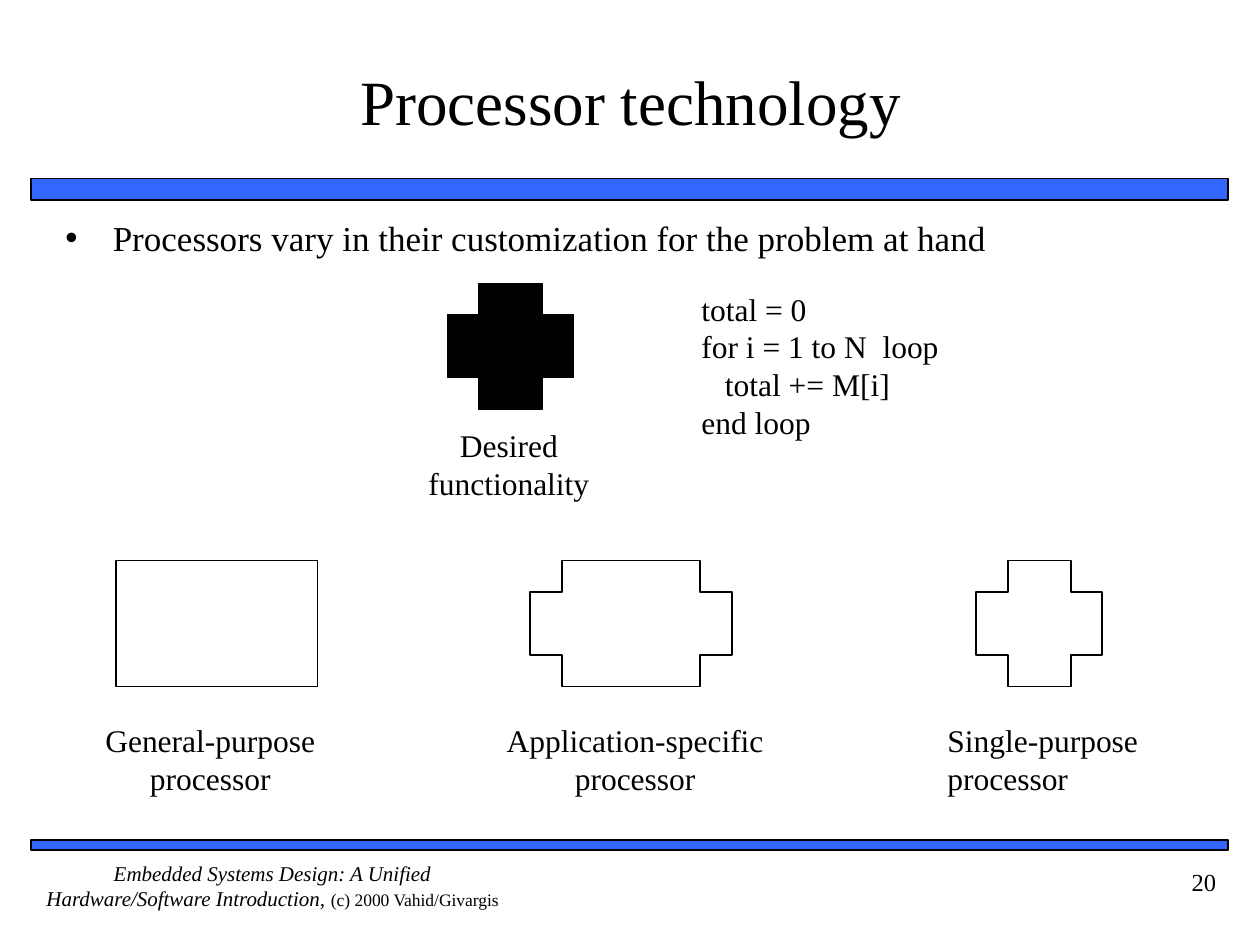
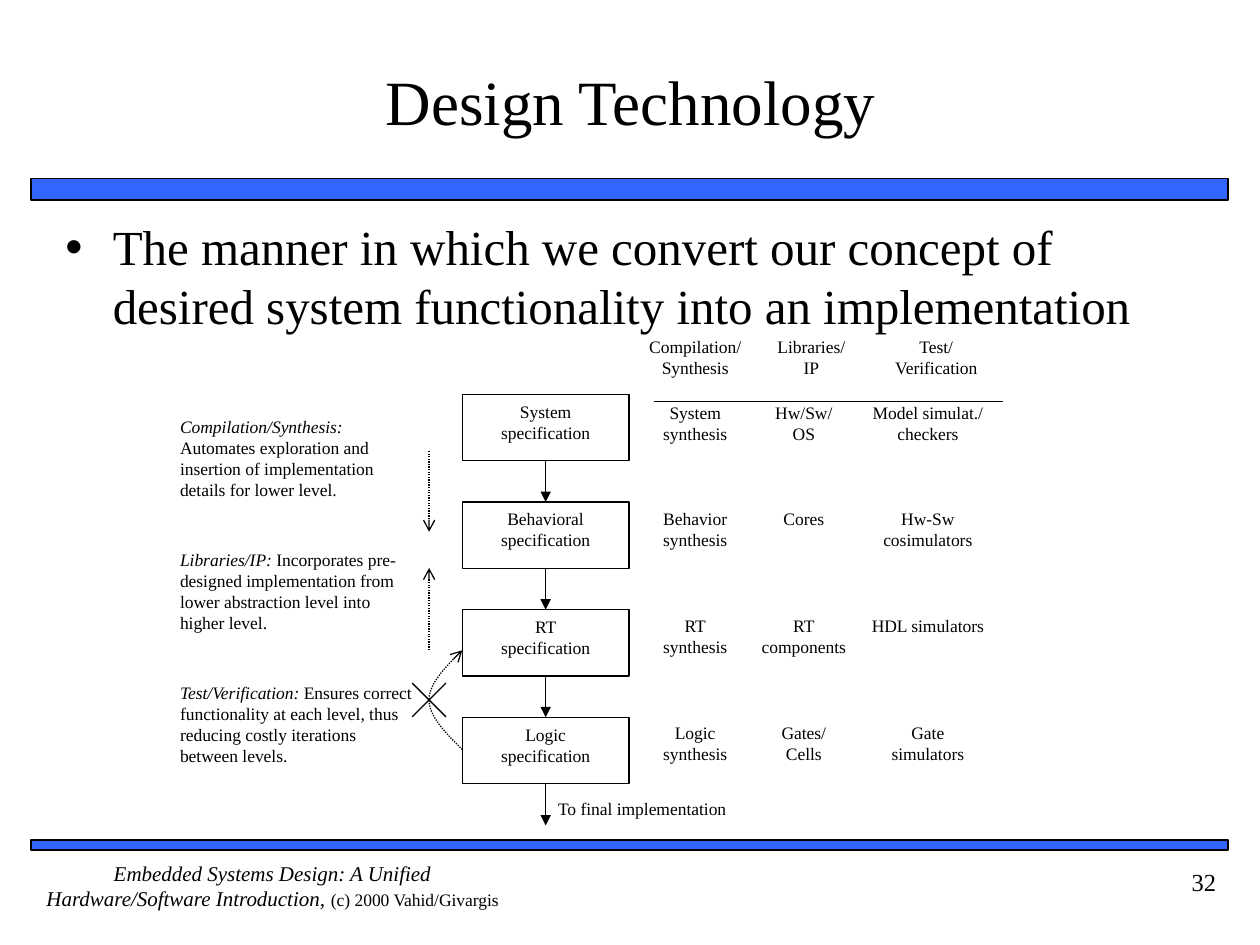
"""Build two slides on processor technology and design technology."""
from lxml import etree
from pptx import Presentation
from pptx import util as u
from pptx.dml import color
from pptx.enum import dml, shapes, text
from pptx.oxml import ns

BLACK = color.RGBColor(0x00, 0x00, 0x00)
WHITE = color.RGBColor(0xFF, 0xFF, 0xFF)
BAND_BLUE = color.RGBColor(0x33, 0x66, 0xFF)
FONT = "Times New Roman"
LEFT, CENTER, RIGHT = text.PP_ALIGN.LEFT, text.PP_ALIGN.CENTER, text.PP_ALIGN.RIGHT
TOP, MIDDLE = text.MSO_ANCHOR.TOP, text.MSO_ANCHOR.MIDDLE
RECTANGLE, CROSS = shapes.MSO_SHAPE.RECTANGLE, shapes.MSO_SHAPE.CROSS
INSET_X, INSET_Y = 0.25, 0.13

PROCESSORS = [
    (RECTANGLE, 2.34, 4.06, "General-purpose processor", 1.7, 5.08, CENTER),
    (CROSS, 10.69, 4.06, "Application-specific processor", 9.73, 6.15, CENTER),
    (CROSS, 19.68, 2.54, "Single-purpose processor", 18.85, 4.65, LEFT),
]
CODE = ["total = 0", "for i = 1 to N  loop", "   total += M[i]", "end loop"]
LEVELS = ["System", "Behavioral", "RT", "Logic"]
NOTES = [
    ("Compilation/Synthesis:",
     " Automates exploration and insertion of implementation details for lower level."),
    ("Libraries/IP:",
     " Incorporates pre-designed implementation from lower abstraction level into higher level."),
    ("Test/Verification:",
     " Ensures correct functionality at each level, thus reducing costly iterations between levels."),
]
TOOL_COLUMNS = [
    (0, 0, ["Compilation/\nSynthesis", "System\nsynthesis", "Behavior\nsynthesis",
            "RT\nsynthesis", "Logic\nsynthesis"]),
    (2.34, 2.19, ["Libraries/\nIP", "Hw/Sw/\nOS", "Cores", "RT\ncomponents", "Gates/\nCells"]),
    (4.86, 4.69, ["Test/\nVerification", "Model simulat./\ncheckers", "Hw-Sw\ncosimulators",
                  "HDL simulators", "Gate\nsimulators"]),
]


def apply(target, formats):
    """Set each attribute named in formats on the target."""
    for name, value in formats.items():
        setattr(target, name, value)


def place(area, *box):
    """Turn a box relative to the area's corner into slide lengths."""
    left, top, width, height = box
    return [u.Cm(v) for v in (area[0] + left, area[1] + top, width, height)]


def write(frame, paragraphs, size, align=LEFT, anchor=TOP, inset=(INSET_X, INSET_Y)):
    """Fill a frame with paragraphs, each a string or a list of (words, formats) runs."""
    inset_x, inset_y = map(u.Cm, inset)
    apply(frame, {"word_wrap": True, "auto_size": text.MSO_AUTO_SIZE.NONE,
                  "vertical_anchor": anchor, "margin_left": inset_x, "margin_right": inset_x,
                  "margin_top": inset_y, "margin_bottom": inset_y})
    for index, runs in enumerate(paragraphs):
        paragraph = frame.add_paragraph() if index else frame.paragraphs[0]
        apply(paragraph, {"alignment": align, "space_before": u.Pt(0)})
        for words, formats in ([(runs, {})] if isinstance(runs, str) else runs):
            run = paragraph.add_run()
            run.text = words
            run.font.color.rgb = BLACK
            apply(run.font, {"name": FONT, "size": u.Pt(size), **formats})


def add_label(slide, box, paragraphs, size, **layout):
    """Add a text box."""
    write(slide.shapes.add_textbox(*box).text_frame, paragraphs, size, **layout)


def draw_line(shape, width, dotted=False, head=None):
    """Give a shape or connector a black outline, with dots and an arrowhead if asked."""
    shape.line.color.rgb = BLACK
    shape.line.width = u.Pt(width)
    if dotted:
        shape.line.dash_style = dml.MSO_LINE.ROUND_DOT
    if head:
        outline = shape.element.spPr.find(ns.qn("a:ln"))
        etree.SubElement(outline, ns.qn("a:tailEnd"), type=head)


def add_block(slide, kind, box, fill=WHITE, width=1):
    """Add a filled, outlined preset shape."""
    block = slide.shapes.add_shape(kind, *box)
    block.shadow.inherit = False
    block.fill.solid()
    block.fill.fore_color.rgb = fill
    draw_line(block, width)
    return block


def add_line(slide, area, start, end, **style):
    """Add a straight line between two points of the area."""
    ends = [u.Cm(area[i] + point[i]) for point in (start, end) for i in (0, 1)]
    line = slide.shapes.add_connector(shapes.MSO_CONNECTOR.STRAIGHT, *ends)
    draw_line(line, 0.75, **style)
    etree.SubElement(line.element.spPr, ns.qn("a:effectLst"))
    return line


def add_frame(prs, title, bullet, bullet_size, number):
    """Add a slide with its title, bullet, bands, footer and page number."""
    slide = prs.slides.add_slide(prs.slide_layouts[1])
    page = (0, 0)
    for top, height in ((3.6, 0.43), (16.93, 0.21)):
        add_block(slide, RECTANGLE, place(page, 0.63, top, 24.13, height), BAND_BLUE)
    add_label(slide, place(page, 0.63, 17.35, 9.73, 1.27), [[
        ("Embedded Systems Design: A Unified Hardware/Software Introduction, ", {"italic": True}),
        ("(c) 2000 Vahid/Givargis", {"size": u.Pt(10)})]], 12, align=CENTER, inset=(0, 0))
    add_label(slide, place(page, 22.23, 17.35, 2.54, 1.27), [str(number)], 14, align=RIGHT)
    heading, body = slide.placeholders
    for holder, box in ((heading, (1.07, 0.43, 23.29, 3.18)), (body, (1.07, 4.24, 23.29, 2.74))):
        apply(holder, dict(zip(("left", "top", "width", "height"), place(page, *box))))
    write(heading.text_frame, [title], 36, CENTER, MIDDLE, (0, INSET_Y))
    write(body.text_frame, [bullet], bullet_size)
    return slide


def add_desired_functionality(slide, area):
    """Place the black cross, its caption and the code it stands for."""
    add_block(slide, CROSS, place(area, 1.4, 0, 2.54, 2.54), BLACK, 0.75)
    add_label(slide, place(area, 0, 2.75, 5.28, 1.83), ["Desired functionality"], 18,
              align=CENTER, inset=(0, INSET_Y))
    add_label(slide, place(area, 6.27, 0, 6.22, 4.32), CODE, 18)


def add_processors(slide, area):
    """Place the three processor outlines with their names."""
    for kind, left, width, name, name_left, name_width, align in PROCESSORS:
        add_block(slide, kind, place(area, left, 0, width, 2.54))
        add_label(slide, place(area, name_left, 3.1, name_width, 1.9), [name], 18, align=align)


def add_specification_flow(slide, area):
    """Place the chain of specification boxes and the arrow to the implementation."""
    width, height, step = 3.36, 1.34, 2.17
    center = width / 2
    previous = None
    for index, level in enumerate(LEVELS):
        top = index * step
        specification = add_block(slide, RECTANGLE, place(area, 0, top, width, height), width=0.75)
        write(specification.text_frame, [level, "specification"], 10, CENTER)
        if previous:
            arrow = add_line(slide, area, (center, top - step + height), (center, top),
                             head="triangle")
            arrow.begin_connect(previous, 2)
            arrow.end_connect(specification, 0)
        previous = specification
    bottom = top + height
    final = add_line(slide, area, (center, bottom), (center, bottom + 0.84), head="triangle")
    final.begin_connect(previous, 2)
    add_label(slide, place(area, center, bottom + 0.15, 5.03, 1.02),
              ["To final implementation"], 10)


def add_notes_column(slide, area):
    """Place the three explanations at the left."""
    for index, (term, meaning) in enumerate(NOTES):
        add_label(slide, place(area, 0, index * 2.68, 5.28, 2.64),
                  [[(term, {"italic": True}), (meaning, {})]], 10, inset=(INSET_X, 0))


def add_iteration_marks(slide, area):
    """Place the dotted down and up arrows and the crossed-out iteration arc."""
    add_line(slide, area, (0, 0), (0, 1.63), dotted=True, head="arrow")
    add_line(slide, area, (0, 4.02), (0, 2.36), dotted=True, head="arrow")
    middle, half, depth, steps = 5.02, 1, 0.67, 12
    points = []
    for step in range(steps, -steps - 1, -1):
        reach = abs(step) / steps
        x = depth * (1.5 * reach ** 2 - 0.5 * reach ** 3)
        points.append((u.Cm(area[0] + x), u.Cm(area[1] + middle + half * step / steps)))
    builder = slide.shapes.build_freeform(*points[0], scale=1.0)
    builder.add_line_segments(points[1:], close=False)
    arc = builder.convert_to_shape()
    arc.shadow.inherit = False
    arc.fill.background()
    draw_line(arc, 0.75, dotted=True, head="arrow")
    arm = 0.34
    for slope in (1, -1):
        add_line(slide, area, (-arm, middle - slope * arm), (arm, middle + slope * arm))


def add_tool_grid(slide, area):
    """Place the tools for each level under their three headings."""
    for heading_left, cell_left, (heading, *cells) in TOOL_COLUMNS:
        add_label(slide, place(area, heading_left, 0, 3.35, 1.34), heading.split("\n"), 10,
                  align=CENTER, inset=(0, 0))
        for row, cell in enumerate(cells):
            add_label(slide, place(area, cell_left, 1.32 + row * 2.15, 3.35, 1.34),
                      cell.split("\n"), 10, align=CENTER, inset=(0, 0))
    add_line(slide, area, (0.84, 1.32), (7.88, 1.32))


def build_processor_slide(prs):
    """Build the slide on processor technology."""
    slide = add_frame(prs, "Processor technology",
                      "Processors vary in their customization for the problem at hand", 20, 20)
    add_desired_functionality(slide, (7.62, 5.71))
    add_processors(slide, (0, 11.3))


def build_design_slide(prs):
    """Build the slide on design technology."""
    slide = add_frame(prs, "Design Technology",
                      "The manner in which we convert our concept of desired system "
                      "functionality into an implementation", 28, 32)
    add_notes_column(slide, (3.38, 8.38))
    add_specification_flow(slide, (9.32, 7.95))
    add_iteration_marks(slide, (8.65, 9.09))
    add_tool_grid(slide, (12.34, 6.78))


def main():
    """Build and save the presentation."""
    prs = Presentation()
    apply(prs, {"slide_width": u.Cm(25.4), "slide_height": u.Cm(19.05)})
    build_processor_slide(prs)
    build_design_slide(prs)
    prs.save("out.pptx")


if __name__ == "__main__":
    main()
